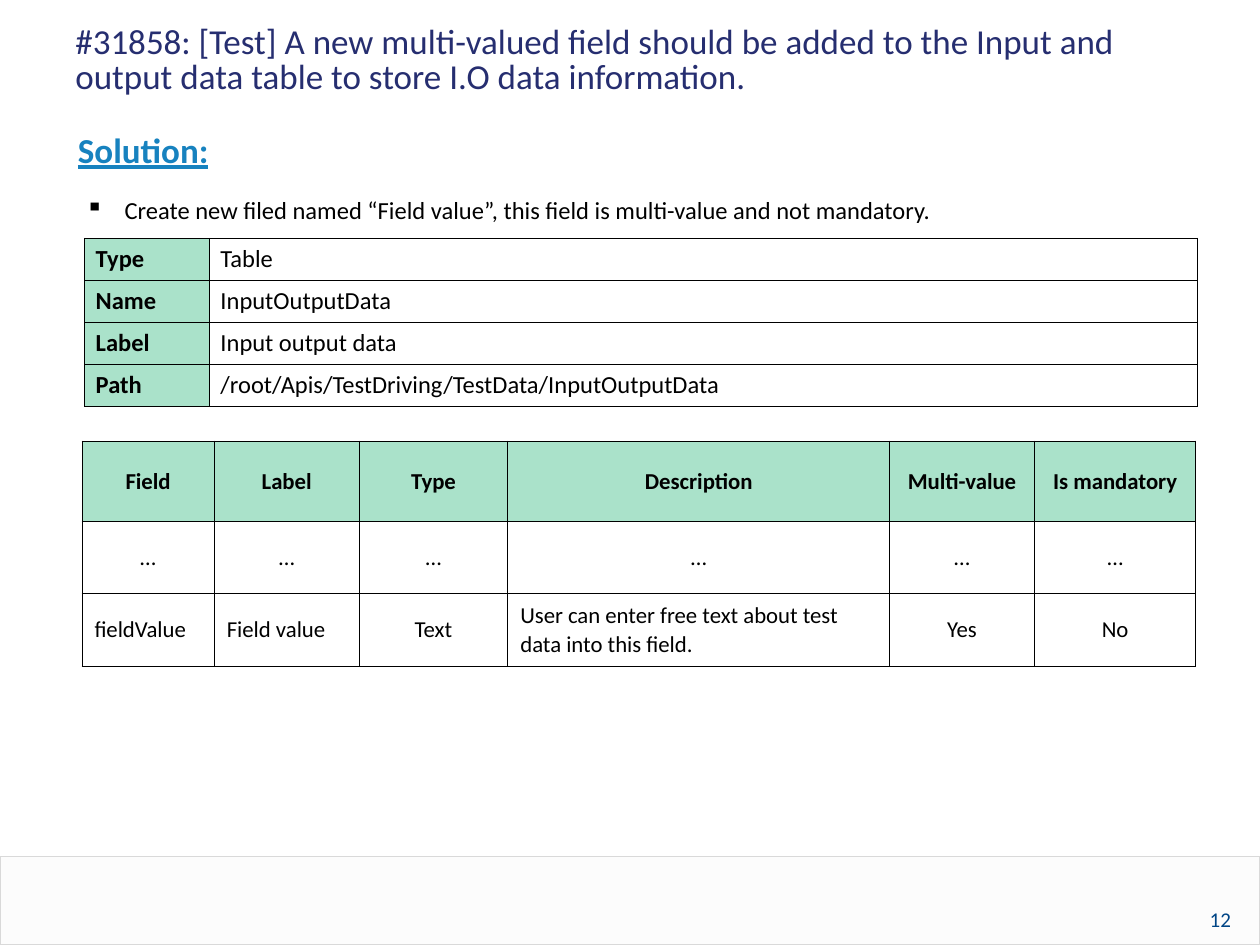
from pptx import Presentation
from pptx.dml.color import RGBColor
from pptx.enum import shapes, text
from pptx.oxml.ns import qn
from pptx.util import Inches, Pt
from lxml import etree

NAVY = RGBColor(0x26, 0x2E, 0x70)
BLUE = RGBColor(0x17, 0x82, 0xBF)
PAGE_BLUE = RGBColor(0x00, 0x45, 0x86)
BLACK = RGBColor(0, 0, 0)
WHITE = RGBColor(0xFF, 0xFF, 0xFF)
MINT = RGBColor(0xAA, 0xE2, 0xCA)
FOOTER_FILL = RGBColor(0xF2, 0xF2, 0xF2)
FOOTER_LINE = RGBColor(0xD9, 0xD9, 0xD9)

LEFT, CENTER, JUSTIFY = text.PP_ALIGN.LEFT, text.PP_ALIGN.CENTER, text.PP_ALIGN.JUSTIFY
MIDDLE, BOTTOM = text.MSO_ANCHOR.MIDDLE, text.MSO_ANCHOR.BOTTOM

TITLE = ("#31858: [Test] A new multi-valued field should be added to the Input and "
         "output data table to store I.O data information.")
HEADING = "Solution:"
BULLET = "Create new filed named “Field value”, this field is multi-value and not mandatory."
PAGE_NUMBER = "12"

TABLE_INFO = [
    ("Type", "Table"),
    ("Name", "InputOutputData"),
    ("Label", "Input output data"),
    ("Path", "/root/Apis/TestDriving/TestData/InputOutputData"),
]
FIELDS = [
    ("Field", "Label", "Type", "Description", "Multi-value", "Is mandatory"),
    ("…",) * 6,
    ("fieldValue", "Field value", "Text",
     "User can enter free text about test data into this field.", "Yes", "No"),
]
LEFT_ALIGNED = {"fieldValue", "Field value", FIELDS[2][3]}


def style(p, size, color, bold=False, align=LEFT, spacing=1.0):
    p.alignment = align
    p.line_spacing = spacing
    for r in p.runs:
        f = r.font
        f.name, f.size, f.bold = "Calibri", Pt(size), bold
        f.color.rgb = color


def add_text(s, box, content, size, color, **options):
    tf = s.shapes.add_textbox(*map(Inches, box)).text_frame
    tf.word_wrap = True
    p = tf.paragraphs[0]
    p.text = content
    style(p, size, color, **options)
    return p


def indent(p, margin, first):
    pPr = p._p.get_or_add_pPr()
    pPr.set("marL", str(Inches(margin)))
    pPr.set("indent", str(Inches(first)))
    return pPr


def add_borders(cell):
    tcPr = cell._tc.get_or_add_tcPr()
    for i, side in enumerate(("lnL", "lnR", "lnT", "lnB")):
        ln = etree.Element(qn(f"a:{side}"), w=str(Pt(0.45)))
        fill = etree.SubElement(ln, qn("a:solidFill"))
        etree.SubElement(fill, qn("a:srgbClr"), val=str(BLACK))
        tcPr.insert(i, ln)


def add_grid(s, left, top, widths, heights, rows):
    """Add a bordered table and yield (row, column, cell, paragraph)."""
    table = s.shapes.add_table(len(rows), len(widths), Inches(left), Inches(top),
                               Inches(sum(widths)), Inches(sum(heights))).table
    for column, width in zip(table.columns, widths):
        column.width = Inches(width)
    for row, height in zip(table.rows, heights):
        row.height = Inches(height)
    for i, values in enumerate(rows):
        for j, value in enumerate(values):
            cell = table.cell(i, j)
            cell.text = value
            cell.vertical_anchor = MIDDLE
            add_borders(cell)
            yield i, j, cell, cell.text_frame.paragraphs[0]


def fill_cell(cell, is_header):
    cell.fill.solid()
    cell.fill.fore_color.rgb = MINT if is_header else WHITE


def add_footer(s):
    band = s.shapes.add_shape(shapes.MSO_SHAPE.RECTANGLE, 0, Inches(6.8), Inches(10), Inches(0.7))
    band.shadow.inherit = False
    band.fill.solid()
    band.fill.fore_color.rgb = FOOTER_FILL
    color = band.fill._xPr.find(qn("a:solidFill"))[0]
    etree.SubElement(color, qn("a:alpha"), val="20000")
    band.line.color.rgb = FOOTER_LINE
    band.line.width = Pt(0.75)
    p = add_text(s, (9.06, 7.19, 1.25, 0.27), PAGE_NUMBER, 12, PAGE_BLUE,
                 align=CENTER, spacing=1.02)
    tf = s.shapes[-1].text_frame
    tf.margin_left = tf.margin_right = tf.margin_top = tf.margin_bottom = 0


def main():
    prs = Presentation()
    prs.slide_width, prs.slide_height = Inches(10), Inches(7.5)
    s = prs.slides.add_slide(prs.slide_layouts[6])

    add_footer(s)
    heading = add_text(s, (0.5, 1, 9, 0.44), HEADING, 20, BLUE, bold=True, spacing=0.93)
    heading.runs[0].font.underline = True
    indent(heading, 0.38, -0.36)

    bullet = add_text(s, (0.57, 1.44, 8.89, 2.31), BULLET, 14, BLACK,
                      align=JUSTIFY, spacing=1.25)
    pPr = indent(bullet, 0.32, -0.31)
    color = etree.SubElement(pPr, qn("a:buClr"))
    etree.SubElement(color, qn("a:srgbClr"), val=str(BLACK))
    etree.SubElement(pPr, qn("a:buChar"), char="▪")

    add_text(s, (0.5, 0.16, 9, 0.69), TITLE, 20, NAVY, spacing=0.83)

    for i, j, cell, p in add_grid(s, 0.65, 3.5, (1.05, 1.15, 1.18, 3.03, 1.15, 1.28),
                                  (0.64, 0.57, 0.58), FIELDS):
        fill_cell(cell, i == 0)
        align = LEFT if p.text in LEFT_ALIGNED else CENTER
        style(p, 13, BLACK, bold=i == 0, align=align, spacing=1.02)
        p.space_after = Pt(14.3)

    for i, j, cell, p in add_grid(s, 0.67, 1.89, (0.99, 7.84),
                                  (0.3, 0.31, 0.31, 0.3), TABLE_INFO):
        fill_cell(cell, j == 0)
        cell.margin_left, cell.margin_right = Inches(0.09), Inches(0.01)
        if i == 0:
            cell.vertical_anchor = BOTTOM
        style(p, 14, BLACK, bold=j == 0)

    prs.save("out.pptx")


if __name__ == "__main__":
    main()
